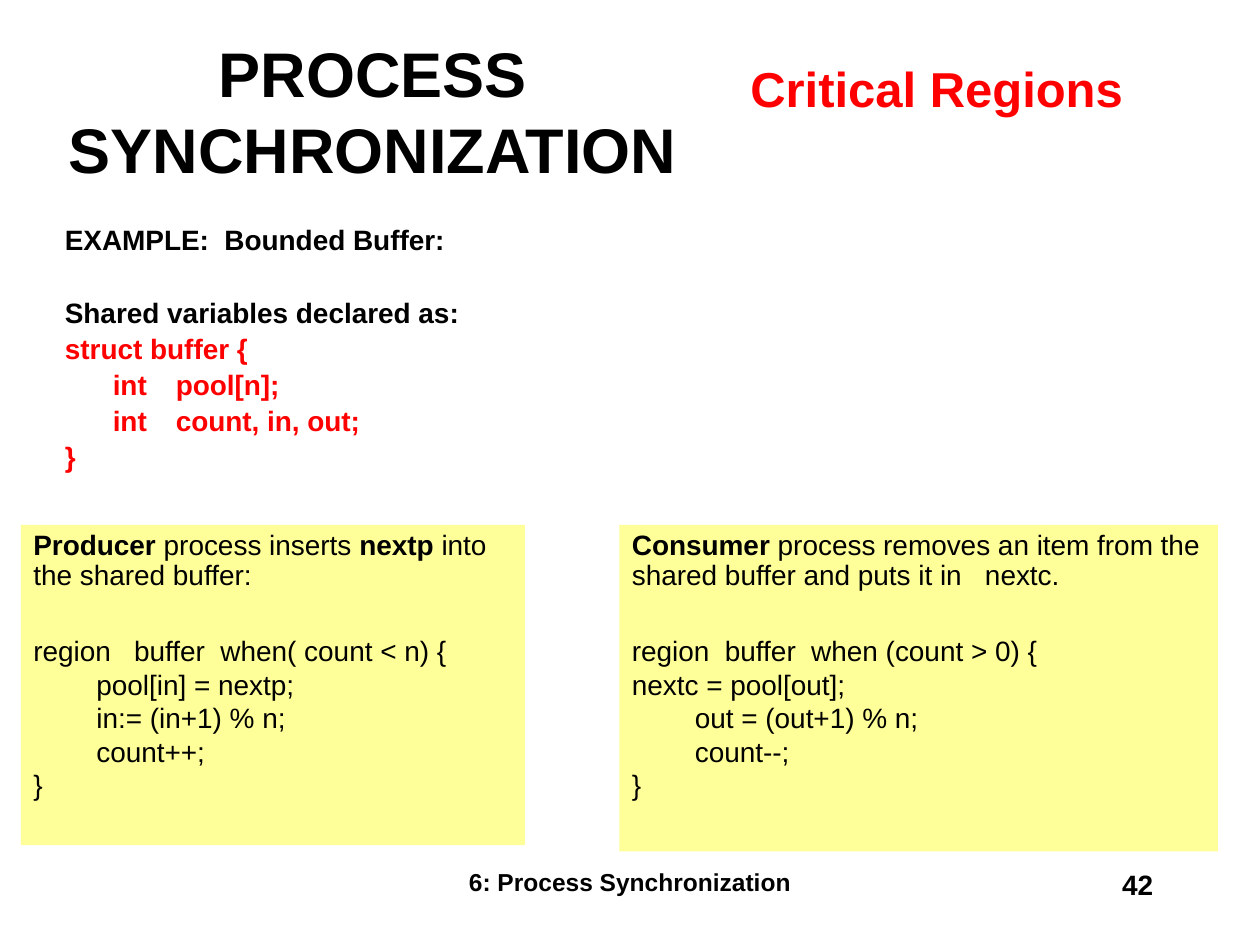
from pptx import Presentation
from pptx.dml.color import RGBColor
from pptx.enum.shapes import MSO_SHAPE
from pptx.enum.text import MSO_ANCHOR, PP_ALIGN
from pptx.util import Inches, Pt

COLUMNS, ROWS = 120, 90
WIDTH, HEIGHT = Inches(10), Inches(7.5)
BLACK, RED, YELLOW = "000000", "FF0000", "FFFF99"
LINE_GAP, SECTION_GAP = 3.4, 24


def color(value):
    return RGBColor.from_string(value)


def place(box):
    left, top, width, height = box
    return (round(left * WIDTH / COLUMNS), round(top * HEIGHT / ROWS),
            round(width * WIDTH / COLUMNS), round(height * HEIGHT / ROWS))


def style(paragraph, size=16, ink=BLACK, bold=None, align=PP_ALIGN.LEFT,
          before=0, spacing=1.0):
    paragraph.alignment = align
    paragraph.space_before = Pt(before)
    paragraph.line_spacing = spacing
    font = paragraph.font
    font.name, font.size, font.bold = "Arial", Pt(size), bold
    font.color.rgb = color(ink)


def add_label(slide, box, text, size, align, ink=BLACK, wrap=True,
              anchor=MSO_ANCHOR.TOP):
    frame = slide.shapes.add_textbox(*place(box)).text_frame
    frame.word_wrap = wrap
    frame.vertical_anchor = anchor
    label = frame.paragraphs[0]
    label.text = text
    style(label, size, ink, True, align)


def add_declarations(slide, box):
    lines = [
        ("EXAMPLE:  Bounded Buffer:", BLACK, 0),
        ("Shared variables declared as:", BLACK, SECTION_GAP),
        ("struct buffer {", RED, LINE_GAP),
        ("\tint \tpool[n];", RED, LINE_GAP),
        ("\tint \tcount, in, out;", RED, LINE_GAP),
        ("}", RED, LINE_GAP),
    ]
    frame = slide.shapes.add_textbox(*place(box)).text_frame
    frame.word_wrap = True
    for index, (text, ink, before) in enumerate(lines):
        line = frame.add_paragraph() if index else frame.paragraphs[0]
        line.text = text
        properties = line._p.get_or_add_pPr()
        properties.set("marL", str(Inches(0.38)))
        properties.set("indent", str(Inches(-0.38)))
        style(line, ink=ink, bold=True, before=before, spacing=0.9)


def add_process(slide, box, summary, code):
    panel = slide.shapes.add_shape(MSO_SHAPE.RECTANGLE, *place(box))
    panel.shadow.inherit = False
    panel.fill.solid()
    panel.fill.fore_color.rgb = color(YELLOW)
    panel.line.fill.background()
    frame = panel.text_frame
    frame.word_wrap = True
    frame.vertical_anchor = MSO_ANCHOR.TOP
    intro = frame.paragraphs[0]
    style(intro, spacing=0.9)
    for text, bold in summary:
        run = intro.add_run()
        run.text = text
        run.font.bold = bold
    for index, text in enumerate(code):
        line = frame.add_paragraph()
        line.text = text
        style(line, bold=False, before=0 if index else SECTION_GAP)


def build_slide(presentation):
    slide = presentation.slides.add_slide(presentation.slide_layouts[6])
    add_label(slide, (4, 3, 63, 15), "PROCESS SYNCHRONIZATION", 36,
              PP_ALIGN.CENTER, anchor=MSO_ANCHOR.MIDDLE)
    add_label(slide, (70.2, 5, 38, 7), "Critical Regions", 28,
              PP_ALIGN.CENTER, RED, wrap=False)
    add_declarations(slide, (5, 21, 110, 28))
    add_process(
        slide, (2, 50, 48, 30.5),
        [("Producer", True), (" process inserts ", False), ("nextp", True),
         (" into the shared buffer:", False)],
        ["region   buffer  when( count < n) {", "\tpool[in] = nextp;",
         "\tin:= (in+1) % n;", "\tcount++;", "}"])
    add_process(
        slide, (59, 50, 57, 31.1),
        [("Consumer", True),
         (" process removes an item from the shared buffer and puts it in"
          "   nextc.", False)],
        ["region  buffer  when (count > 0) {", "nextc = pool[out];",
         "\tout = (out+1) % n;", "\tcount--;", "}"])
    add_label(slide, (41, 82, 38, 6), "6: Process Synchronization", 14,
              PP_ALIGN.CENTER)
    add_label(slide, (86, 82, 25, 6), "42", 16, PP_ALIGN.RIGHT)


def main():
    presentation = Presentation()
    presentation.slide_width, presentation.slide_height = WIDTH, HEIGHT
    build_slide(presentation)
    presentation.save("out.pptx")


if __name__ == "__main__":
    main()
